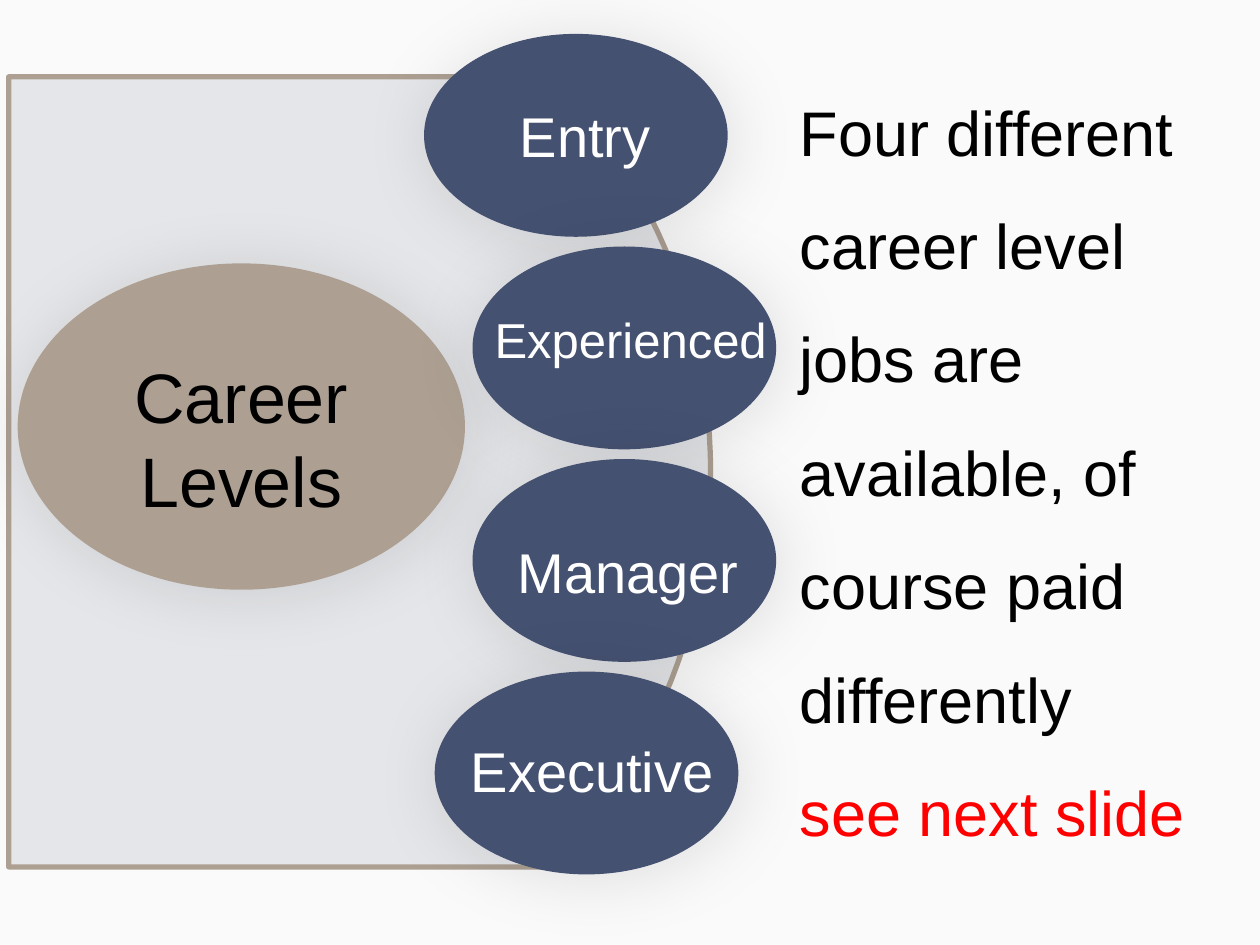
from lxml import etree
from pptx import Presentation
from pptx.dml.color import RGBColor
from pptx.enum import shapes, text
from pptx.oxml import ns
from pptx.util import Pt

COLORS = {
    "background": "FAFAFA",
    "panel": "E5E6E9",
    "tan": "ADA093",
    "navy": "455171",
    "black": "000000",
    "white": "FFFFFF",
    "red": "FF0000",
}


def add_ellipse(left, top, width, height, color):
    """Add a borderless ellipse with a wide, faint shadow."""
    shape = slide.shapes.add_shape(
        shapes.MSO_SHAPE.OVAL, Pt(left), Pt(top), Pt(width), Pt(height))
    shape.fill.solid()
    shape.fill.fore_color.rgb = RGBColor.from_string(COLORS[color])
    shape.line.fill.background()
    shape.shadow.inherit = False
    effects = shape._element.spPr.find(ns.qn("a:effectLst"))
    shadow = etree.SubElement(
        effects, ns.qn("a:outerShdw"), blurRad=str(Pt(40)), dist=str(Pt(4)),
        dir=str(45 * 60000), algn="tl", rotWithShape="0")
    tint = etree.SubElement(shadow, ns.qn("a:srgbClr"), val=COLORS["black"])
    etree.SubElement(tint, ns.qn("a:alpha"), val="11000")


def add_text(left, top, width, height, size, lines, alignment, spacing=None):
    """Add a wrapping text box; lines holds (wording, color) pairs."""
    box = slide.shapes.add_textbox(Pt(left), Pt(top), Pt(width), Pt(height))
    frame = box.text_frame
    frame.word_wrap = True
    for index, (wording, color) in enumerate(lines):
        paragraph = frame.add_paragraph() if index else frame.paragraphs[0]
        paragraph.alignment = alignment
        paragraph.line_spacing = spacing
        run = paragraph.add_run()
        run.text = wording
        run.font.name = "Arial"
        run.font.size = Pt(size)
        run.font.color.rgb = RGBColor.from_string(COLORS[color])
    return box


presentation = Presentation()
presentation.slide_width, presentation.slide_height = Pt(720), Pt(540)
slide = presentation.slides.add_slide(presentation.slide_layouts[6])
slide.background.fill.solid()
slide.background.fill.fore_color.rgb = RGBColor.from_string(COLORS["background"])

# Panel with a bulging right side, its curve sampled from two Bezier segments
curves = [
    [(322.6, 52.6), (374.4, 109.4), (406.1, 185.8), (406.1, 270)],
    [(406.1, 270), (406.1, 353.5), (374.4, 429.8), (322.6, 486.7)],
]
steps = 24
points = [(314.6, 43.9)]
for curve in curves:
    for step in range(steps + 1):
        t = step / steps
        weights = ((1 - t) ** 3, 3 * t * (1 - t) ** 2, 3 * t ** 2 * (1 - t), t ** 3)
        points.append(tuple(
            sum(weight * point[axis] for weight, point in zip(weights, curve))
            for axis in (0, 1)))
points += [(314.6, 495.4), (5, 495.4)]
builder = slide.shapes.build_freeform(Pt(5), Pt(43.9))
builder.add_line_segments([(Pt(x), Pt(y)) for x, y in points], close=True)
panel = builder.convert_to_shape()
panel.fill.solid()
panel.fill.fore_color.rgb = RGBColor.from_string(COLORS["panel"])
panel.line.color.rgb = RGBColor.from_string(COLORS["tan"])
panel.line.width = Pt(3)
panel.shadow.inherit = False

# Ellipses: the topic and its four levels
add_ellipse(10.1, 150.5, 255.6, 186.5, "tan")
for row, left in enumerate((242.3, 270, 270, 248.4)):
    add_ellipse(left, 19.4 + 121.45 * row, 173.5, 115.9, "navy")

# Labels
center = text.PP_ALIGN.CENTER
topic = add_text(58.3, 198.7, 159.1, 104.4, 40, [("Career Levels", "black")], center)
topic.text_frame.auto_size = text.MSO_AUTO_SIZE.SHAPE_TO_FIT_TEXT
levels = [
    ("Entry", 277.2, 54.7, 114.5, 32),
    ("Experienced", 273.6, 173.5, 173.5, 28),
    ("Manager", 283, 303.8, 151.9, 32),
    ("Executive", 257.8, 417.6, 161.3, 32),
]
for name, left, top, width, size in levels:
    add_text(left, top, width, 26.6, size, [(name, "white")], center)

# Explanation
add_text(450, 28.1, 249.1, 454.3, 36, [
    ("Four different career level jobs are available, of course paid differently",
     "black"),
    ("see next slide", "red"),
], text.PP_ALIGN.LEFT, 1.5)

presentation.save("out.pptx")
